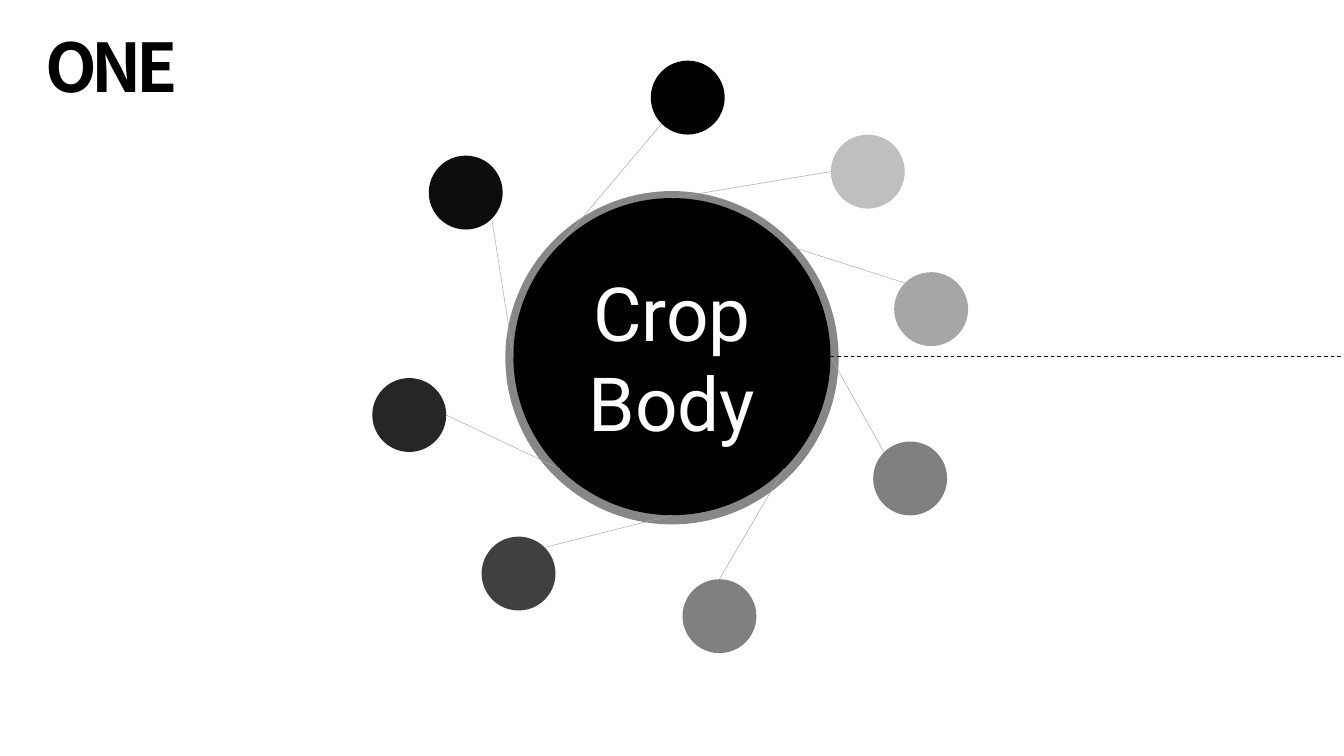
from math import cos, pi, sin
from typing import NamedTuple

from pptx import Presentation
from pptx.dml.color import RGBColor
from pptx.enum.dml import MSO_LINE_DASH_STYLE as Dash
from pptx.enum.shapes import MSO_CONNECTOR as Wire, MSO_SHAPE as Kind
from pptx.enum.text import MSO_ANCHOR as Anchor, MSO_AUTO_SIZE as Fit, PP_ALIGN as Align
from pptx.oxml.ns import qn
from pptx.util import Inches, Pt
from lxml.etree import SubElement

WIDTH = Inches(10)
HEIGHT = WIDTH * 9 // 16
CELL = WIDTH / 100
COLORS = {
    "ink": "000000", "paper": "FFFFFF", "coal": "0D0D0D", "soot": "262626",
    "slate": "404040", "gray": "808080", "ash": "A6A6A6", "mist": "BFBFBF",
}
E, SE, S, SW, W, NW, N, NE = range(8)


class Disc(NamedTuple):
    col: float
    row: float
    radius: float
    color: str


class Moon(NamedTuple):
    col: float
    row: float
    color: str
    side: int
    dock: int


HALO = Disc(50, 26.62, 12.4, "ink")
HUB = Disc(50, 26.54, 11.8, "ink")
RADIUS = 2.75
MOONS = [
    Moon(51.17, 7.26, "ink", SW, NW),
    Moon(34.65, 14.33, "coal", SE, W),
    Moon(30.45, 30.88, "soot", E, SW),
    Moon(38.58, 42.68, "slate", NE, S),
    Moon(53.53, 45.85, "gray", N, SE),
    Moon(67.72, 35.6, "gray", NW, E),
    Moon(69.28, 23, "ash", NW, NE),
    Moon(64.57, 12.77, "mist", W, N),
]


def cells(count: float) -> int:
    return round(count * CELL)


def tint(name: str) -> RGBColor:
    return RGBColor.from_string(COLORS[name])


def rim(disc: Disc, side: int) -> tuple[float, float]:
    turn = side * pi / 4
    return disc.col + disc.radius * cos(turn), disc.row + disc.radius * sin(turn)


def draw_disc(shapes, disc: Disc):
    size = cells(2 * disc.radius)
    shape = shapes.add_shape(
        Kind.OVAL, cells(disc.col - disc.radius), cells(disc.row - disc.radius), size, size
    )
    shape.shadow.inherit = False
    shape.fill.solid()
    shape.fill.fore_color.rgb = tint(disc.color)
    shape.line.fill.background()
    return shape


def draw_line(shapes, start: tuple, end: tuple, color: str, width: float):
    line = shapes.add_connector(Wire.STRAIGHT, *map(cells, start + end))
    line.line.color.rgb = tint(color)
    line.line.width = Pt(width)
    SubElement(line._element.spPr, qn("a:effectLst"))
    return line


def style(para, face: str, size: int, color: str, bold: bool = False):
    for run in para.runs:
        run.font.name = face
        run.font.size = Pt(size)
        run.font.bold = bold
        run.font.color.rgb = tint(color)


def draw_title(slide):
    title = slide.shapes.title
    title.left, title.top, title.width, title.height = map(cells, (2.4, 1.4, 12.1, 7.1))
    frame = title.text_frame
    frame.text = "ONE"
    frame.word_wrap = False
    frame.auto_size = Fit.SHAPE_TO_FIT_TEXT
    frame.vertical_anchor = Anchor.TOP
    para = frame.paragraphs[0]
    para.alignment = Align.LEFT
    style(para, "Noto Sans CJK SC", 36, "ink", True)
    para.runs[0].font._element.set("spc", "-300")


def draw_hub(shapes):
    halo = draw_disc(shapes, HALO)
    fill = halo._element.spPr.find(qn("a:solidFill"))
    SubElement(fill[0], qn("a:alpha"), val="47000")
    frame = draw_disc(shapes, HUB).text_frame
    frame.text = "Crop Body"
    frame.word_wrap = True
    frame.vertical_anchor = Anchor.MIDDLE
    para = frame.paragraphs[0]
    para.alignment = Align.CENTER
    style(para, "Roboto", 40, "paper")


def main():
    deck = Presentation()
    deck.slide_width, deck.slide_height = WIDTH, HEIGHT
    slide = deck.slides.add_slide(deck.slide_layouts[5])
    shapes = slide.shapes
    draw_title(slide)
    draw_hub(shapes)
    axis = draw_line(shapes, rim(HUB, E), (101.2, HUB.row), "ink", 0.5)
    axis.line.dash_style = Dash.DASH
    discs = [Disc(moon.col, moon.row, RADIUS, moon.color) for moon in MOONS]
    for disc in discs:
        draw_disc(shapes, disc)
    for moon, disc in zip(MOONS, discs):
        draw_line(shapes, rim(HUB, moon.dock), rim(disc, moon.side), "ash", 0.25)
    deck.save("out.pptx")


if __name__ == "__main__":
    main()
